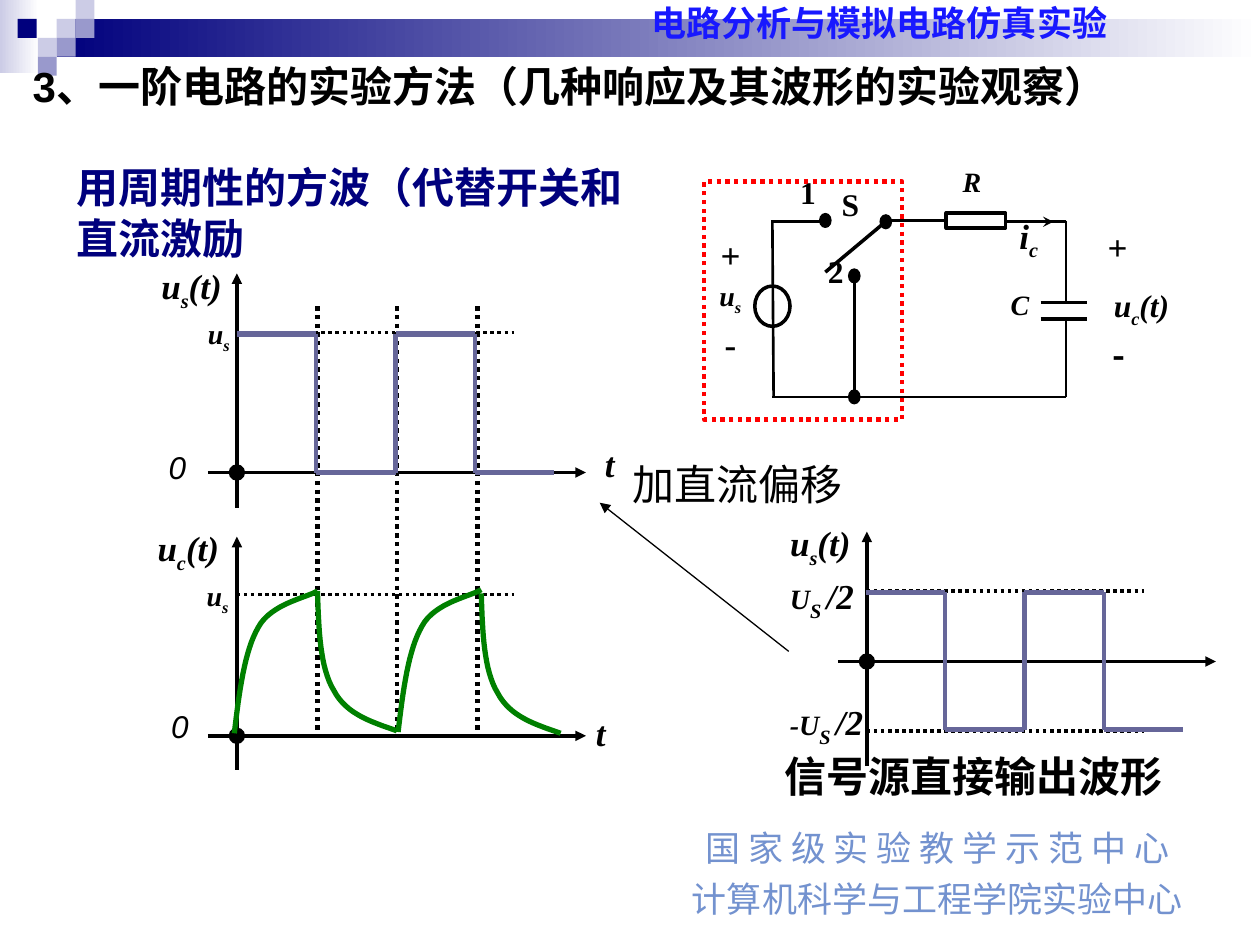
from dataclasses import dataclass

from lxml.etree import SubElement
from pptx import Presentation
from pptx.dml.color import RGBColor
from pptx.enum.dml import MSO_LINE
from pptx.enum.shapes import MSO_CONNECTOR, MSO_SHAPE
from pptx.enum.text import MSO_ANCHOR, MSO_AUTO_SIZE, PP_ALIGN
from pptx.oxml.ns import qn
from pptx.util import Inches, Pt


@dataclass(frozen=True)
class Theme:
    black: str = "000000"
    navy: str = "00007D"
    lilac: str = "CCCCE6"
    violet: str = "9999CC"
    white: str = "FFFFFF"
    course: str = "1818FF"
    footer: str = "7392CF"
    wave: str = "666699"
    curve: str = "008000"
    red: str = "FF0000"
    sans: str = "Arial"
    serif: str = "Times New Roman"
    cjk: str = "Noto Sans CJK SC"
    heading: int = 24
    large: int = 20
    medium: int = 18
    small: int = 16


class Board:
    """Holds the theme and the current slide, and draws on it."""

    def __init__(self, slide, theme):
        self.slide, self.theme, self.shapes = slide, theme, slide.shapes

    def fill_text(self, sp, paras, size, color=None, font=None, bold=False,
                  italic=False, inset=(0.1, 0.05), align=PP_ALIGN.LEFT,
                  anchor=MSO_ANCHOR.TOP, gap=0):
        """Odd parts between underscores are subscripts; size may be one per part."""
        tf = sp.text_frame
        tf.word_wrap, tf.auto_size, tf.vertical_anchor = True, MSO_AUTO_SIZE.NONE, anchor
        tf.margin_left = tf.margin_right = Inches(inset[0])
        tf.margin_top = tf.margin_bottom = Inches(inset[1])
        for i, text in enumerate(paras):
            p = tf.add_paragraph() if i else tf.paragraphs[0]
            p.alignment, p.space_before = align, Pt(gap if i else 0)
            p.font.name = font or self.theme.sans
            p.font.bold, p.font.italic = bold, italic
            p.font.color.rgb = RGBColor.from_string(color or self.theme.black)
            SubElement(p._p.pPr.find(qn("a:defRPr")), qn("a:ea"), typeface=self.theme.cjk)
            mixed = isinstance(size, tuple)
            if not mixed:
                p.font.size = Pt(size)
            for n, part in enumerate(text.split("_")):
                r = p.add_run()
                r.text = part
                if mixed:
                    r.font.size = Pt(size[n])
                if n % 2:
                    r._r.get_or_add_rPr().set("baseline", "-25000")

    def title(self, x, y, w, h, text):
        sp = self.shapes.title
        sp.left, sp.top, sp.width, sp.height = map(Inches, (x, y, w, h))
        sp._element.getparent().append(sp._element)  # above the header band
        self.fill_text(sp, [text], self.theme.heading, bold=True)

    def text(self, x, y, w, h, *paras, size, **style):
        sp = self.shapes.add_textbox(*map(Inches, (x, y, w, h)))
        self.fill_text(sp, paras, size, **style)

    def label(self, x, y, text, size, w=0.28, italic=True, font=None):
        self.text(x, y, w, 0.33, text, size=size, font=font or self.theme.serif,
                  bold=True, italic=italic, inset=(0, 0))

    def stroke(self, line, color, width, dotted=False):
        line.color.rgb = RGBColor.from_string(color)
        line.width = Pt(width)
        if dotted:
            line.dash_style = MSO_LINE.ROUND_DOT

    def shape(self, kind, x, y, w, h, fill=None, line=None, width=2, dotted=False):
        sp = self.shapes.add_shape(kind, *map(Inches, (x, y, w, h)))
        sp.shadow.inherit = False
        if isinstance(fill, tuple):
            sp.fill.gradient()
            sp.fill.gradient_angle = 0
            for stop, color in zip(sp.fill.gradient_stops, fill):
                stop.color.rgb = RGBColor.from_string(color)
        elif fill:
            sp.fill.solid()
            sp.fill.fore_color.rgb = RGBColor.from_string(fill)
        else:
            sp.fill.background()
        if line:
            self.stroke(sp.line, line, width, dotted)
        else:
            sp.line.fill.background()

    def dot(self, cx, cy, w, h):
        black = self.theme.black
        self.shape(MSO_SHAPE.OVAL, cx - w / 2, cy - h / 2, w, h, black, black, 0.75)

    def line(self, x1, y1, x2, y2, width=2, color=None, dotted=False, arrow=None):
        c = self.shapes.add_connector(MSO_CONNECTOR.STRAIGHT, *map(Inches, (x1, y1, x2, y2)))
        self.stroke(c.line, color or self.theme.black, width, dotted)
        spPr = c._element.spPr
        if arrow:
            SubElement(spPr.find(qn("a:ln")), qn("a:tailEnd"), type=arrow)
        SubElement(spPr, qn("a:effectLst"))

    def curve(self, x, y, offsets, steps=16):
        """Chain of cubic Bezier arcs, given as offsets from (x, y)."""
        pts = []
        for k in range(0, len(offsets) - 1, 3):
            for t in (n / steps for n in range(1, steps + 1)):
                weights = ((1 - t) ** 3, 3 * t * (1 - t) ** 2, 3 * t * t * (1 - t), t ** 3)
                dx, dy = (sum(b * q[i] for b, q in zip(weights, offsets[k:k + 4]))
                          for i in (0, 1))
                pts.append((Inches(x + dx), Inches(y + dy)))
        fb = self.shapes.build_freeform(Inches(x), Inches(y))
        fb.add_line_segments(pts, close=False)
        sp = fb.convert_to_shape()
        sp.shadow.inherit = False
        sp.fill.background()
        self.stroke(sp.line, self.theme.curve, 3)

    def axes(self, x, y, up, down, levels):
        self.line(x - 0.23, y, x + 2.77, y, arrow="triangle")
        self.line(x, y + down, x, y - up, arrow="triangle")
        self.dot(x, y, 0.12, 0.12)
        for level in levels:
            self.line(x, level, x + 2.2, level, dotted=True)

    def square_wave(self, x, high, low, half=0.63):
        for n in range(4):
            left, level = x + n * half, low if n % 2 else high
            self.line(left, level, left + half, level, 3, self.theme.wave)
            if n:
                self.line(left, high, left, low, 2.5, self.theme.wave)


def main():
    prs = Presentation()
    prs.slide_width, prs.slide_height = Inches(10), Inches(7.5)
    t = Theme()
    b = Board(prs.slides.add_slide(prs.slide_layouts[5]), t)

    # Header band with its checker squares
    b.shape(MSO_SHAPE.RECTANGLE, 0, 0, 0.31, 0.58, (t.lilac, t.white))
    b.shape(MSO_SHAPE.RECTANGLE, 0.45, 0.15, 9.55, 0.3, (t.navy, t.white))
    for x, y, color in ((0.45, 0.15, t.lilac), (0.6, 0, t.lilac), (0.6, 0.15, t.violet),
                        (0.3, 0.3, t.lilac), (0.14, 0.15, t.navy),
                        (0.45, 0.3, t.violet), (0.3, 0.45, t.violet)):
        b.shape(MSO_SHAPE.RECTANGLE, x, y, 0.15, 0.15, color)
    b.text(5.15, 0, 3.99, 0.36, "电路分析与模拟电路仿真实验", size=t.large,
           color=t.course, bold=True, inset=(0.02, 0.01))

    # Headings and footer
    b.title(0.16, 0.43, 9.56, 0.5, "3、一阶电路的实验方法（几种响应及其波形的实验观察）")
    b.text(0.51, 1.23, 4.8, 0.91, "用周期性的方波（代替开关和直流激励", size=t.heading,
           color=t.navy, bold=True, anchor=MSO_ANCHOR.MIDDLE)
    b.text(4.88, 6.51, 5.12, 0.94, "国 家 级 实 验 教 学 示 范 中 心",
           "计算机科学与工程学院实验中心", size=t.large, color=t.footer, font=t.cjk,
           align=PP_ALIGN.CENTER, gap=5)

    # Circuit: wires, components, nodes, labels
    b.shape(MSO_SHAPE.RECTANGLE, 5.59, 1.44, 1.57, 1.89, None, t.red, 2.5, True)
    for wire in ((6.13, 1.75, 6.14, 3.15), (6.13, 3.15, 8.46, 3.15), (7.99, 1.76, 8.46, 1.76),
                 (6.78, 2.19, 6.78, 3.15), (8.46, 1.75, 8.46, 2.4), (8.46, 2.53, 8.46, 3.15),
                 (7.04, 1.75, 7.5, 1.75), (6.12, 1.76, 6.55, 1.76)):
        b.line(*wire, width=1.5)
    b.line(8.08, 1.76, 8.36, 1.76, 1, arrow="stealth")
    for y in (2.4, 2.53):
        b.line(8.26, y, 8.63, y)
    b.line(7.04, 1.75, 6.55, 2.16)
    b.shape(MSO_SHAPE.OVAL, 5.99, 2.27, 0.28, 0.32, None, t.black)
    b.shape(MSO_SHAPE.RECTANGLE, 7.51, 1.69, 0.47, 0.12, None, t.black)
    for x, y in ((6.78, 2.19), (6.78, 3.15), (7.03, 1.76), (6.55, 1.75)):
        b.dot(x, y, 0.09, 0.11)
    for x, y, text in ((6.35, 1.37, "1"), (6.68, 1.47, "S"), (6.57, 2, "2")):
        b.label(x, y, text, t.medium, italic=False)
    for x, y, text in ((5.72, 1.85, "+"), (5.75, 2.56, "-"), (8.79, 1.79, "+")):
        b.label(x, y, text, t.large, italic=False)
    b.label(8.83, 2.65, "-", t.large, italic=False, font=t.cjk)
    for x, y, text in ((7.64, 1.31, "R"), (5.71, 2.21, "u_s"), (8.02, 2.28, "C")):
        b.label(x, y, text, t.small)
    b.label(8.09, 1.7, "i_c", t.large)
    b.label(8.84, 2.27, "u_c_(t)", t.medium, w=0.65)

    # Source and capacitor plots, sharing the vertical guides
    b.axes(1.88, 3.75, 1.58, 0.28, [2.64])
    b.axes(1.88, 5.84, 1.58, 0.27, [4.72])
    for x in (2.52, 3.15, 3.79):
        b.line(x, 2.43, x, 5.81, 2.5, dotted=True)
    b.square_wave(1.88, 2.65, 3.75)
    charge = ((0, 0), (0.04, -0.33), (0.08, -0.65), (0.19, -0.84),
              (0.29, -1.03), (0.59, -1.08), (0.66, -1.13))
    discharge = ((0, 0), (0.01, 0.31), (0.02, 0.61), (0.13, 0.79),
                 (0.23, 0.98), (0.43, 1.04), (0.63, 1.11))
    for x, y, offsets in ((1.86, 5.82, charge), (2.52, 4.69, discharge),
                          (3.16, 5.81, charge), (3.82, 4.71, discharge)):
        b.curve(x, y, offsets)
    for x, y, text in ((1.28, 2.1, "u_s_(t)"), (1.25, 4.18, "u_c_(t)"),
                       (4.8, 3.51, "t"), (4.73, 5.65, "t")):
        b.label(x, y, text, t.large, w=0.55)
    for x, y in ((1.65, 2.51), (1.64, 4.59)):
        b.label(x, y, "u_s", t.small)
    for x, y in ((1.24, 3.51), (1.26, 5.56)):
        b.text(x, y, 0.47, 0.4, "0", size=t.medium, italic=True)

    # Generator output, shifted by a DC offset
    b.axes(6.88, 5.25, 1.03, 0.83, [4.69, 5.8])
    b.square_wave(6.87, 4.7, 5.79)
    b.label(6.27, 4.14, "u_s_(t)", t.large, w=0.55)
    for y, text in ((4.56, "U_S _/2"), (5.56, "-U_S _/2")):
        b.label(6.27, y, text, (t.small, t.large, t.large), w=0.64)
    b.line(6.26, 5.17, 4.76, 3.99, 0.75, arrow="triangle")
    b.text(4.92, 3.59, 2.36, 0.51, "加直流偏移", size=t.heading)
    b.text(6.13, 5.91, 3.45, 0.51, "信号源直接输出波形", size=t.heading, bold=True)

    prs.save("out.pptx")


if __name__ == "__main__":
    main()
